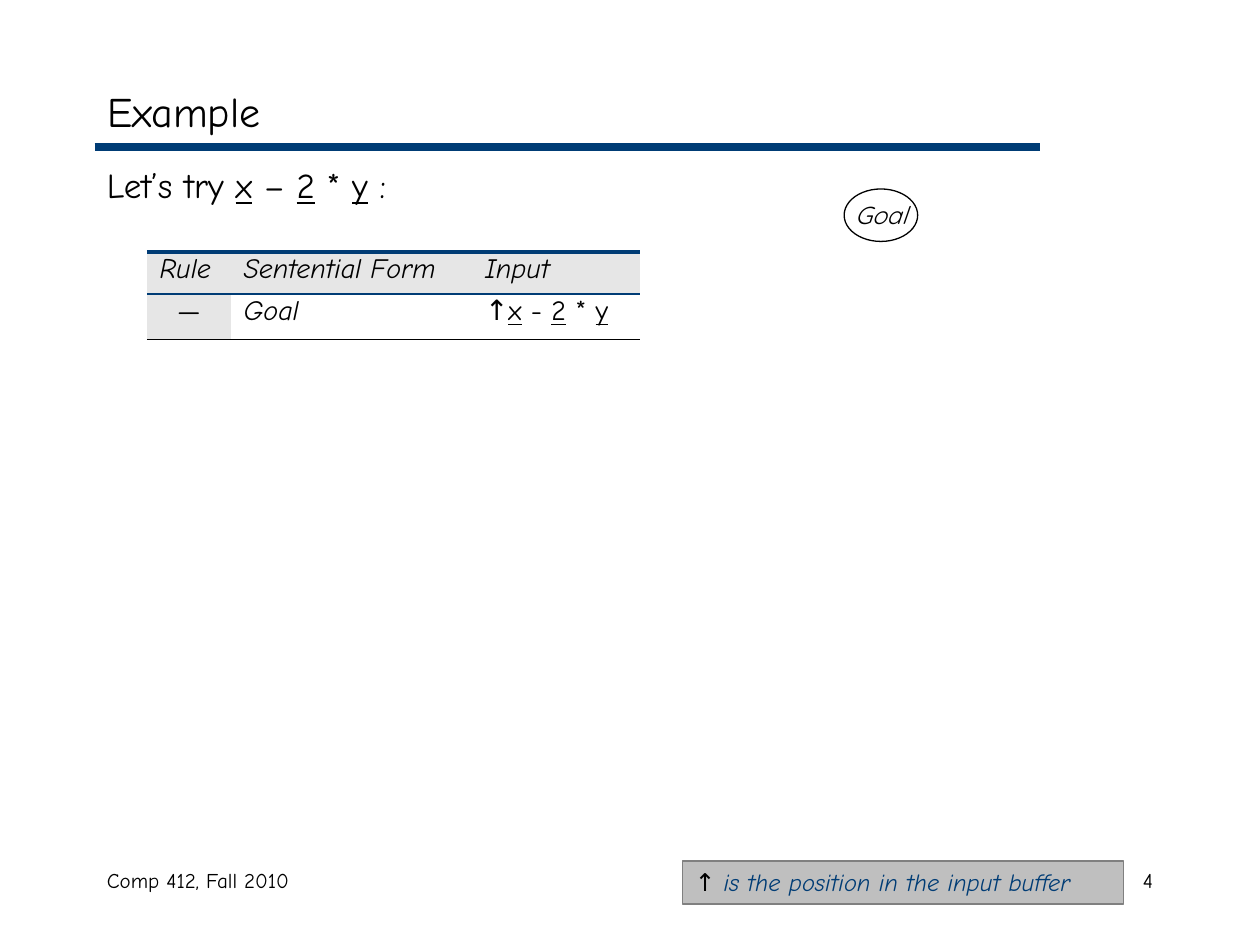
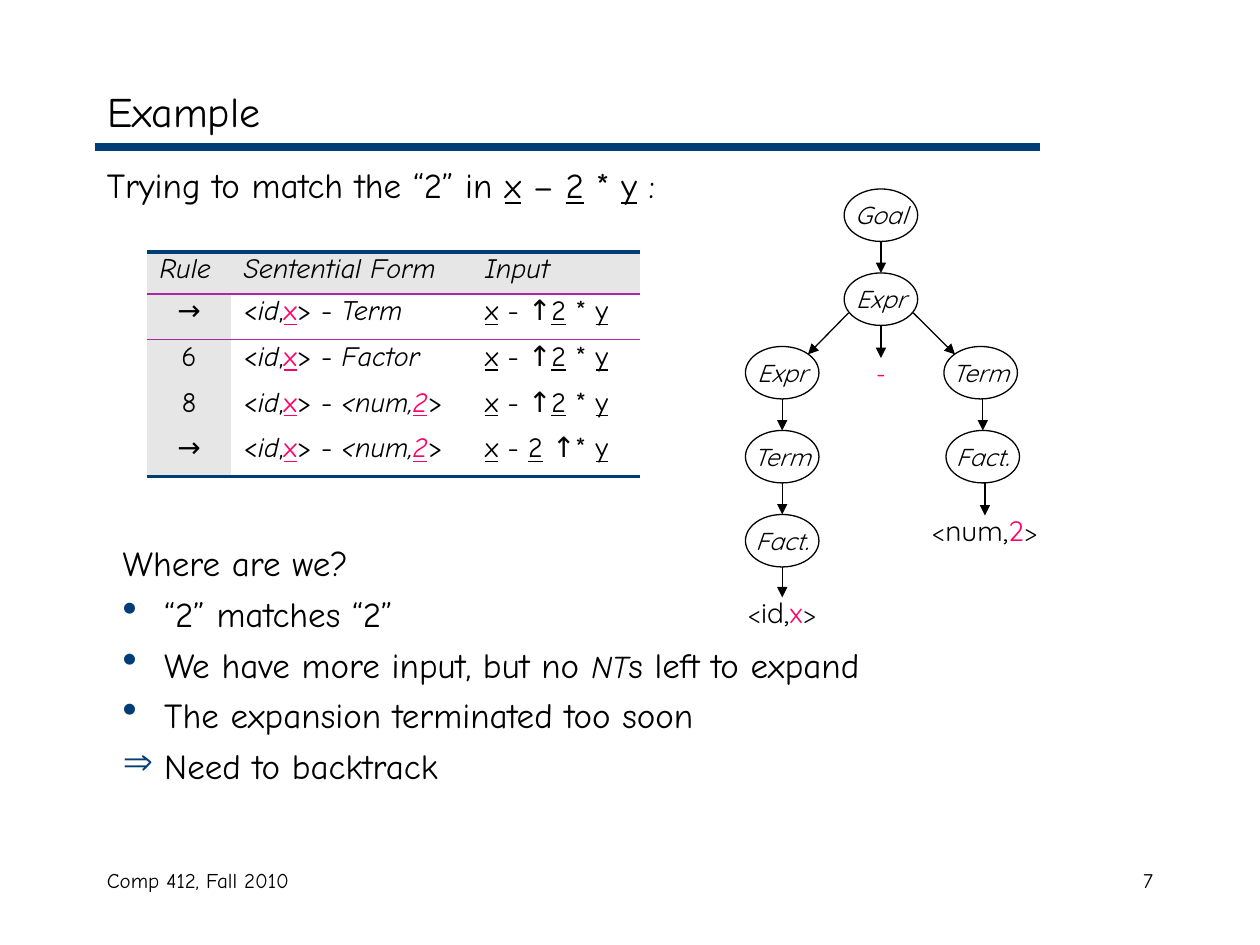
from lxml import etree
from pptx import Presentation
from pptx import util as u
from pptx.dml.color import RGBColor
from pptx.enum import shapes, text
from pptx.oxml.ns import qn

COLOURS = {"ink": "000000", "navy": "003C75", "pink": "FF0065", "purple": "B025A6",
           "shade": "E6E6E6", "note": "BFBFBF", "note_edge": "808080"}
BODY_FONT, TREE_FONT = "Comic Neue", "Quicksand"
COLUMNS, ROWS = 120, 90  # grid over the slide, 12 cells to the inch
MARGIN, CONTENT_WIDTH = 9, 102
NODE_WIDTH, NODE_HEIGHT = 7, 5
NO_GRID_STYLE = "{2D5ABB26-0587-4C30-8999-92F81FD0307C}"
INPUT = "_x_ – _2_ * _y_ :"


def grid(cells):
    return u.Inches(cells / 12)


def place(box):
    return [grid(cells) for cells in box]


def rgb(name):
    return RGBColor.from_string(COLOURS[name])


def write(paragraph, marked, size, font=BODY_FONT, accent="pink", other_size=None,
          align=text.PP_ALIGN.LEFT, line_spacing=None, space_before=None):
    """Write marked text: _ underline, / italic, # accent colour, ^ other size."""
    paragraph.alignment = align
    if line_spacing:
        paragraph.line_spacing = line_spacing
    if space_before:
        paragraph.space_before = u.Pt(space_before)
    active, piece = set(), ""

    def flush():
        if not piece:
            return
        run = paragraph.add_run()
        run.text = piece
        run.font.name = font
        run.font.size = u.Pt(other_size if "^" in active else size)
        run.font.italic = "/" in active
        run.font.underline = "_" in active
        run.font.color.rgb = rgb(accent if "#" in active else "ink")

    for letter in marked:
        if letter in "_/#^":
            flush()
            piece = ""
            active ^= {letter}
        else:
            piece += letter
    flush()


def add_text(slide, box, marked, **style):
    frame = slide.shapes.add_textbox(*place(box)).text_frame
    frame.word_wrap = True
    write(frame.paragraphs[0], marked, **style)
    return frame


def add_line(slide, start, end, colour, width, arrow=False):
    line = slide.shapes.add_connector(
        shapes.MSO_CONNECTOR.STRAIGHT, *place(start), *place(end))
    line.line.color.rgb = rgb(colour)
    line.line.width = u.Pt(width)
    if arrow:
        etree.SubElement(line.line._get_or_add_ln(), qn("a:tailEnd"), type="triangle")
    etree.SubElement(line._element.spPr, qn("a:effectLst"))


def add_box(slide, kind, box, fill=None, line=None):
    shape = slide.shapes.add_shape(kind, *place(box))
    shape.shadow.inherit = False
    if fill:
        shape.fill.solid()
        shape.fill.fore_color.rgb = rgb(fill)
    else:
        shape.fill.background()
    if line:
        shape.line.color.rgb = rgb(line)
        shape.line.width = u.Pt(0.75)
    else:
        shape.line.fill.background()
    return shape


# Title, rule, lead sentence and footer shared by the slides
def add_example_slide(presentation, lead, number):
    slide = presentation.slides.add_slide(presentation.slide_layouts[5])
    title = slide.shapes.title
    title.left, title.top, title.width, title.height = place((MARGIN, 7, CONTENT_WIDTH, 7))
    frame = title.text_frame
    frame.auto_size = text.MSO_AUTO_SIZE.NONE
    frame.vertical_anchor = text.MSO_ANCHOR.MIDDLE
    write(frame.paragraphs[0], "Example", size=24)
    add_line(slide, (MARGIN, 14), (99, 14), "navy", 4.5)
    add_text(slide, (MARGIN, 15, CONTENT_WIDTH, 6), lead, size=20)
    add_text(slide, (MARGIN, 82, 38, 6), "Comp 412, Fall 2010", size=12)
    add_text(slide, (86, 82, 25, 6), str(number), size=12, align=text.PP_ALIGN.RIGHT)
    return slide


def set_borders(cell, top=None, bottom=None):
    properties = cell._tc.get_or_add_tcPr()
    position = 0
    for tag, border in (("a:lnT", top), ("a:lnB", bottom)):
        if border:
            colour, width = border
            line = etree.Element(qn(tag), w=str(u.Pt(width)))
            fill = etree.SubElement(line, qn("a:solidFill"))
            etree.SubElement(fill, qn("a:srgbClr"), val=COLOURS[colour])
            properties.insert(position, line)
            position += 1


# Derivation table: shaded header row and rule column
def add_derivation(slide, box, steps, header_rule, last_rule):
    left, top, width, header_height = box
    step_height = 4.35
    rows = [("/Rule/", "/Sentential Form/", "/Input/"), *steps]
    height = header_height + step_height * len(steps)
    table_frame = slide.shapes.add_table(
        len(rows), 3, *place((left, top, width, height)))
    table = table_frame.table
    table.first_row = table.horz_banding = False
    table._tbl.tblPr.find(qn("a:tableStyleId")).text = NO_GRID_STYLE
    for column, share in zip(table.columns, (8, 23, 16)):
        column.width = grid(width * share / 47)
    for row_index, row in enumerate(rows):
        table.rows[row_index].height = grid(step_height if row_index else header_height)
        tops = {0: ("navy", 2.25), 1: header_rule}
        bottoms = {0: header_rule, len(steps): last_rule}
        for column_index, marked in enumerate(row):
            cell = table.cell(row_index, column_index)
            centred = row_index and not column_index
            write(cell.text_frame.paragraphs[0], marked, size=16, line_spacing=0.8,
                  align=text.PP_ALIGN.CENTER if centred else text.PP_ALIGN.LEFT)
            if row_index and column_index:
                cell.fill.background()
            else:
                cell.fill.solid()
                cell.fill.fore_color.rgb = rgb("shade")
            set_borders(cell, tops.get(row_index), bottoms.get(row_index))


# Parse tree: nodes are (centre column, centre row, text, parent index)
def add_parse_tree(slide, origin, nodes):
    left, top = origin
    for column, row, marked, parent in nodes:
        x, y = left + column, top + row
        is_leaf = not marked.startswith("/")
        node = add_box(slide, shapes.MSO_SHAPE.OVAL,
                       (x - NODE_WIDTH / 2, y - NODE_HEIGHT / 2, NODE_WIDTH, NODE_HEIGHT),
                       line=None if is_leaf else "ink")
        frame = node.text_frame
        frame.word_wrap = False
        frame.vertical_anchor = text.MSO_ANCHOR.MIDDLE
        write(frame.paragraphs[0], marked, size=14, other_size=16, font=TREE_FONT,
              align=text.PP_ALIGN.CENTER)
        if parent is None:
            continue
        parent_x, parent_y = left + nodes[parent][0], top + nodes[parent][1]
        if abs(x - parent_x) < 1:
            start = (x, parent_y + NODE_HEIGHT / 2)
            end = (x, y - NODE_HEIGHT / 2 + (1.1 if is_leaf else 0))
        else:
            side = 1 if x > parent_x else -1
            start = (parent_x + side * 0.44 * NODE_WIDTH, parent_y + 0.26 * NODE_HEIGHT)
            end = (x - side * 0.35 * NODE_WIDTH, y - 0.35 * NODE_HEIGHT)
        add_line(slide, start, end, "ink", 0.75, arrow=True)


def add_note(slide, box, marked):
    note = add_box(slide, shapes.MSO_SHAPE.RECTANGLE, box, fill="note", line="note_edge")
    note.text_frame.vertical_anchor = text.MSO_ANCHOR.TOP
    write(note.text_frame.paragraphs[0], marked, size=14, accent="navy")


def set_bullet(paragraph, character, percent):
    properties = paragraph._p.get_or_add_pPr()
    indent = u.Inches(0.33)
    properties.set("marL", str(indent))
    properties.set("indent", str(-indent))
    colour = etree.SubElement(properties, qn("a:buClr"))
    etree.SubElement(colour, qn("a:srgbClr"), val=COLOURS["navy"])
    etree.SubElement(properties, qn("a:buSzPct"), val=str(percent * 1000))
    etree.SubElement(properties, qn("a:buChar"), char=character)


# Question followed by bulleted findings
def add_findings(slide, box, question, findings):
    frame = add_text(slide, box, question, size=20)
    for character, percent, marked in findings:
        paragraph = frame.add_paragraph()
        set_bullet(paragraph, character, percent)
        write(paragraph, marked, size=20, other_size=18, space_before=5)


TABLE_BOX = (14, 24, 47, 4)
TREE_ORIGIN = (71, 18)
GOAL = (12.9, 2.5, "/Goal/", None)


def build_start(presentation):
    slide = add_example_slide(presentation, "Let’s try " + INPUT, 4)
    add_derivation(slide, TABLE_BOX, [("—", "/Goal/", "↑_x_ - _2_ * _y_")],
                   header_rule=("navy", 1), last_rule=("ink", 1))
    add_parse_tree(slide, TREE_ORIGIN, [GOAL])
    add_note(slide, (65, 82, 42, 4.1), "↑ #/is the position in the input buffer/#")


def build_match(presentation):
    slide = add_example_slide(presentation, "Trying to match the “2” in " + INPUT, 7)
    matched_x, matched_2 = "</id/,_#x#_> - ", "/<num,_#2#_/>"
    before_2 = "_x_ - ↑_2_ * _y_"
    add_derivation(slide, TABLE_BOX, [
        ("→", matched_x + "/Term/", before_2),
        ("6", matched_x + "/Factor/", before_2),
        ("8", matched_x + matched_2, before_2),
        ("→", matched_x + matched_2, "_x_ - _2_ ↑* _y_"),
    ], header_rule=("purple", 1), last_rule=("navy", 2.25))
    add_parse_tree(slide, TREE_ORIGIN, [
        GOAL,
        (12.9, 10.5, "/Expr/", 0),
        (3.5, 17.5, "/Expr/", 1),
        (12.9, 17.5, "#-#", 1),
        (22.4, 17.5, "/Term/", 1),
        (3.5, 25.5, "/Term/", 2),
        (3.5, 33.5, "/Fact./", 5),
        (3.5, 40.3, "<^id,#x#^>", 6),
        (22.6, 25.5, "/Fact./", 4),
        (22.8, 32.5, "<^num,#2#^>", 8),
    ])
    add_findings(slide, (10.5, 51, 84.4, 28), "Where are we?", [
        ("•", 120, "“2” matches “2”"),
        ("•", 120, "We have more input, but no ^/NT/^s left to expand"),
        ("•", 120, "The expansion terminated too soon"),
        ("⇒", 110, "Need to backtrack"),
    ])


def main():
    presentation = Presentation()
    presentation.slide_width, presentation.slide_height = grid(COLUMNS), grid(ROWS)
    build_start(presentation)
    build_match(presentation)
    presentation.save("out.pptx")


if __name__ == "__main__":
    main()
